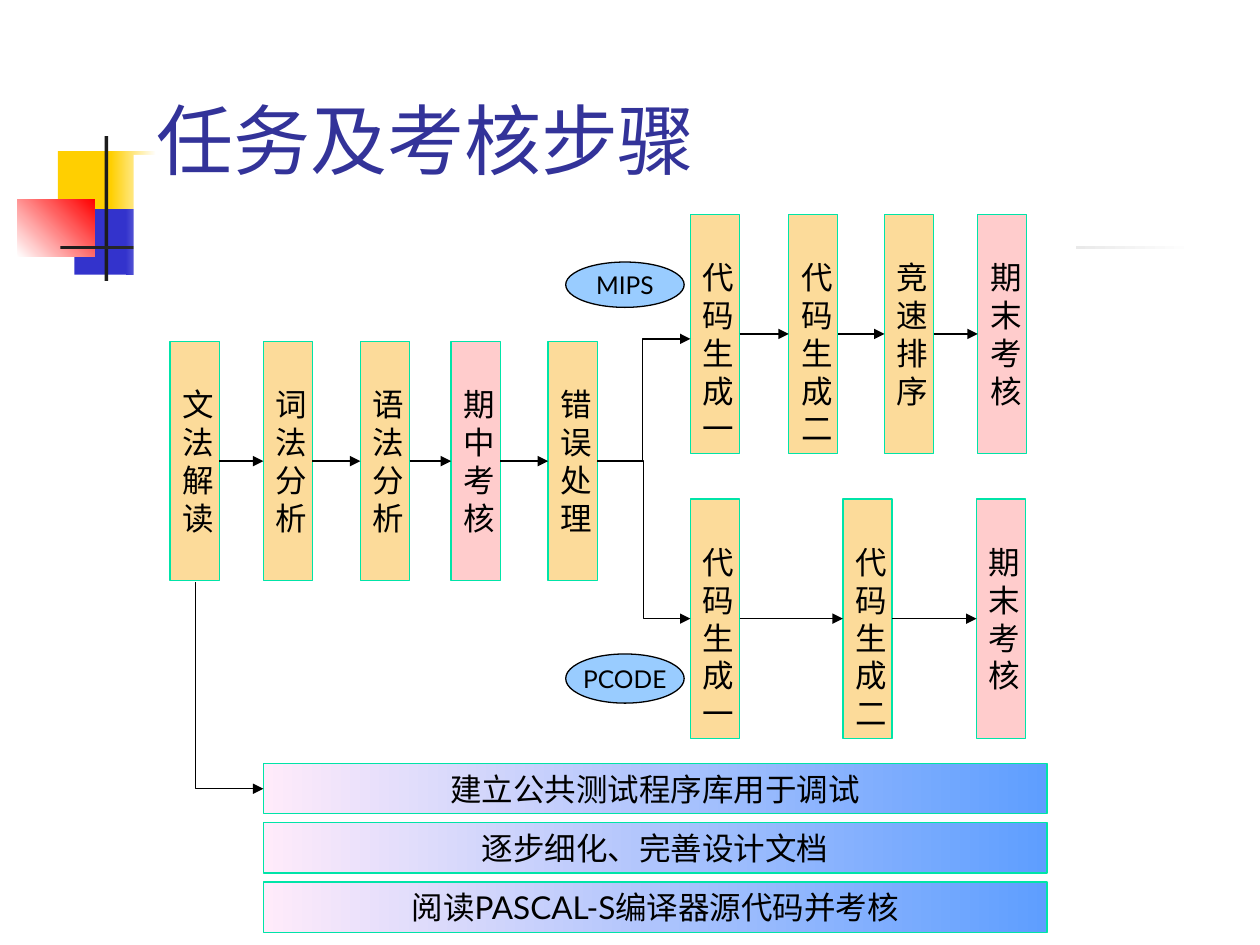
from itertools import pairwise

from lxml import etree
from pptx import Presentation
from pptx.dml.color import RGBColor
from pptx.enum import shapes, text
from pptx.oxml.ns import qn
from pptx.util import Inches, Pt

FONT = "Lato"
COLORS = {
    "white": "FFFFFF", "black": "000000", "ink": "1C1C1C", "title": "333399",
    "gold": "FFCF01", "blue": "3333CC", "red": "FF0000",
    "task": "FCDB9A", "exam": "FFCCCC", "border": "00E4A8",
    "oval": "99CCFF", "bar_start": "FFEBFA", "bar_end": "5E9EFF",
}
RECT = shapes.MSO_SHAPE.RECTANGLE
OVAL = shapes.MSO_SHAPE.OVAL
BOX_W, BOX_H = 0.39, 1.9


def rgb(name):
    return RGBColor.from_string(COLORS[name])


class Deck:
    """Holds the text style and the slide being drawn."""

    def __init__(self, s):
        self.s = s

    def shape(self, at, fill, kind=RECT, line=None, angle=0):
        """Draw a shape; a pair of colours as fill gives a gradient."""
        sp = self.s.shapes.add_shape(kind, *map(Inches, at))
        sp.shadow.inherit = False
        if isinstance(fill, tuple):
            sp.fill.gradient()
            sp.fill.gradient_angle = angle
            for stop, name, position in zip(sp.fill.gradient_stops, fill, (0, 1)):
                stop.color.rgb = rgb(name)
                stop.position = position
        else:
            sp.fill.solid()
            sp.fill.fore_color.rgb = rgb(fill)
        if line:
            sp.line.color.rgb = rgb(line)
            sp.line.width = Pt(0.75)
        else:
            sp.line.fill.background()
        return sp

    def label(self, sp, words, size=18, color="black", top=0.05, wrap=True,
              align=text.PP_ALIGN.CENTER, anchor=text.MSO_ANCHOR.TOP):
        tf = sp.text_frame
        tf.word_wrap = wrap
        tf.vertical_anchor = anchor
        tf.margin_top = Inches(top)
        p = tf.paragraphs[0]
        p.text = words
        p.alignment = align
        p.font.size, p.font.name = Pt(size), FONT
        p.font.color.rgb = rgb(color)

    def title(self, at, words):
        sp = self.s.shapes.add_textbox(*map(Inches, at))
        self.label(sp, words, 44, "title", align=text.PP_ALIGN.LEFT,
                   anchor=text.MSO_ANCHOR.BOTTOM)

    def step(self, x, y, words):
        fill = "exam" if words.endswith("考核") else "task"
        sp = self.shape((x, y, BOX_W, BOX_H), fill, line="border")
        self.label(sp, words, top=0.35)

    def chain(self, y, steps):
        """Draw a row of steps with an arrow from each to the next."""
        for x, words in steps:
            self.step(x, y, words)
        middle = y + BOX_H / 2
        for (x, _), (following, _) in pairwise(steps):
            self.arrow((x + BOX_W, middle), (following, middle))

    def oval(self, at, words):
        sp = self.shape(at, "oval", OVAL, "black")
        self.label(sp, words, 14, wrap=False, anchor=text.MSO_ANCHOR.MIDDLE)

    def bar(self, y, words):
        sp = self.shape((2.09, y, 6.22, 0.4), ("bar_start", "bar_end"),
                        line="border")
        self.label(sp, words)

    def arrow(self, start, end, bend=None):
        """Draw an arrow; bend is the share of the width before the turn."""
        kind = shapes.MSO_CONNECTOR
        cx = self.s.shapes.add_connector(
            kind.STRAIGHT if bend is None else kind.ELBOW,
            *map(Inches, start + end))
        cx.line.color.rgb = rgb("black")
        cx.line.width = Pt(0.75)
        pr = cx._element.spPr
        etree.SubElement(pr.find(qn("a:ln")), qn("a:tailEnd"), type="triangle")
        etree.SubElement(pr, qn("a:effectLst"))
        if bend is not None:
            guides = pr.find(qn("a:prstGeom")).find(qn("a:avLst"))
            etree.SubElement(guides, qn("a:gd"), name="adj1",
                             fmla=f"val {round(bend * 100000)}")


def draw_ornament(deck):
    deck.shape((0.46, 1.2, 0.48, 0.52), "gold")
    deck.shape((0.88, 1.2, 0.36, 0.52), ("gold", "white"))
    deck.shape((0.59, 1.66, 0.46, 0.52), "blue")
    deck.shape((1, 1.66, 0.4, 0.52), ("blue", "white"))
    deck.shape((0.14, 1.58, 0.61, 0.46), ("white", "red"), angle=45)
    deck.shape((0.83, 1.08, 0.03, 1.15), "ink")
    deck.shape((0.48, 1.95, 9, 0.03), ("ink", "white"))
    deck.shape((1.06, 1.23, 7.48, 6.17), "white")


def main():
    prs = Presentation()
    prs.slide_width, prs.slide_height = Inches(10), Inches(7.5)
    deck = Deck(prs.slides.add_slide(prs.slide_layouts[6]))

    draw_ornament(deck)
    deck.title((1.14, 0.6, 8.52, 0.92), "任务及考核步骤")

    deck.chain(2.71, [(1.35, "文法解读"), (2.09, "词法分析"),
                      (2.86, "语法分析"), (3.58, "期中考核"),
                      (4.35, "错误处理")])
    deck.chain(1.7, [(5.48, "代码生成一"), (6.26, "代码生成二"),
                     (7.02, "竞速排序"), (7.76, "期末考核")])
    deck.chain(3.96, [(5.48, "代码生成一"), (6.69, "代码生成二"),
                      (7.75, "期末考核")])
    deck.oval((4.49, 2.08, 0.94, 0.36), "MIPS")
    deck.oval((4.49, 5.19, 0.94, 0.39), "PCODE")

    for i, words in enumerate(["建立公共测试程序库用于调试",
                               "逐步细化、完善设计文档",
                               "阅读PASCAL-S编译器源代码并考核"]):
        deck.bar(6.06 + i * 0.47, words)

    deck.arrow((4.74, 3.66), (5.48, 4.91), bend=0.5)
    deck.arrow((5.1, 3.66), (5.48, 2.69), bend=0)
    deck.arrow((1.55, 4.62), (2.09, 6.26), bend=0)

    prs.save("out.pptx")


if __name__ == "__main__":
    main()
